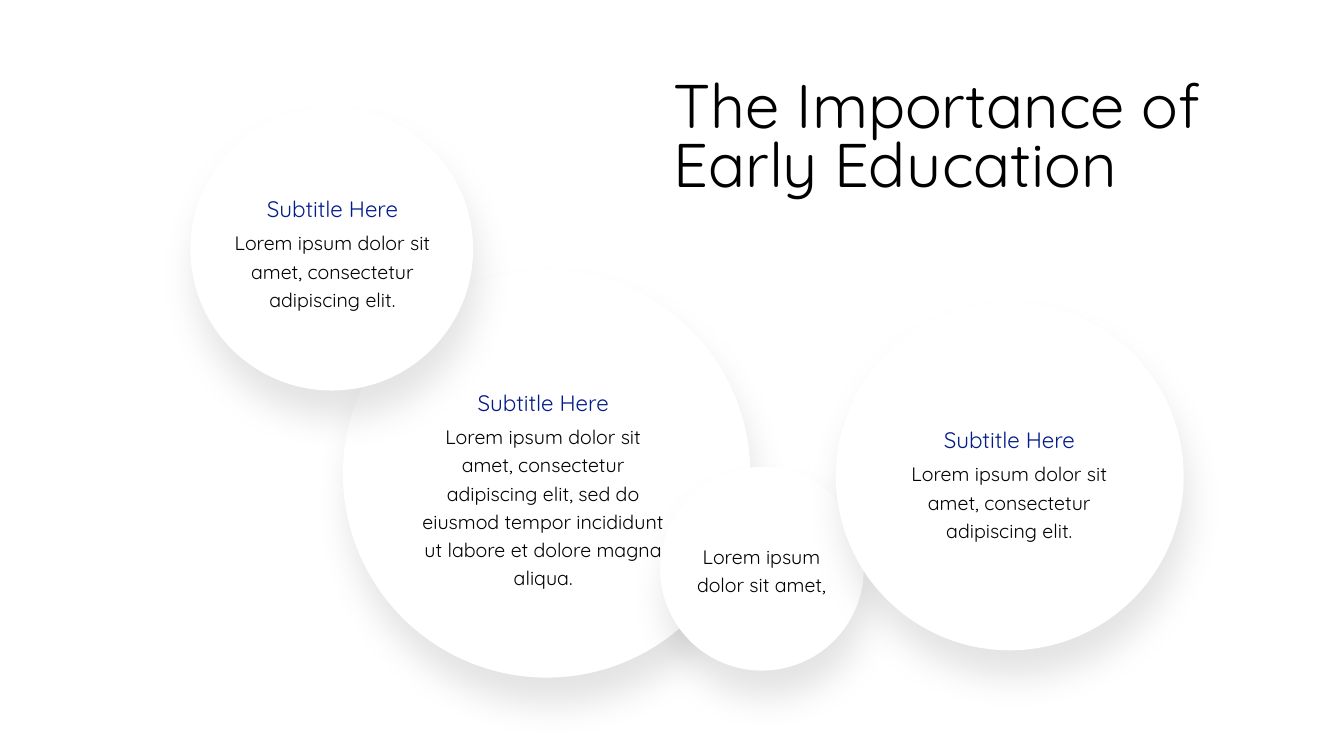
"""Builds a slide with four overlapping shadowed circles and their captions."""
from lxml import etree
from pptx import Presentation
from pptx.dml.color import RGBColor
from pptx.enum.shapes import MSO_SHAPE
from pptx.enum.text import MSO_ANCHOR, MSO_AUTO_SIZE, PP_ALIGN
from pptx.oxml.ns import nsdecls
from pptx.util import Pt

OVAL = MSO_SHAPE.OVAL
TOP, MIDDLE = MSO_ANCHOR.TOP, MSO_ANCHOR.MIDDLE
GROW = MSO_AUTO_SIZE.SHAPE_TO_FIT_TEXT
LEFT, CENTER = PP_ALIGN.LEFT, PP_ALIGN.CENTER
FONT = "Quicksand"
COLORS = {"white": "FFFFFF", "black": "000000", "blue": "031B89"}
SHADOW = (
    f'<a:effectLst {nsdecls("a")}>'
    f'<a:outerShdw blurRad="{Pt(26)}" dist="{Pt(19)}" dir="{80 * 60000}" algn="ctr" rotWithShape="0">'
    f'<a:srgbClr val="{COLORS["black"]}"><a:alpha val="11000"/></a:srgbClr>'
    '</a:outerShdw></a:effectLst>'
)


def add_text(s, text, x, y, w, h, size=14, color="black", align=CENTER, anchor=TOP, spacing=1.2):
    tf = s.shapes.add_textbox(Pt(x), Pt(y), Pt(w), Pt(h)).text_frame
    tf.word_wrap = True
    tf.auto_size = GROW
    tf.vertical_anchor = anchor
    tf.margin_left = tf.margin_right = 0
    tf.margin_top = tf.margin_bottom = Pt(3.6)
    p = tf.paragraphs[0]
    p.alignment = align
    p.line_spacing = spacing
    r = p.add_run()
    r.text = text
    r.font.name = FONT
    r.font.size = Pt(size)
    r.font.color.rgb = RGBColor.from_string(COLORS[color])


prs = Presentation()
prs.slide_width, prs.slide_height = Pt(960), Pt(540)
s = prs.slides.add_slide(prs.slide_layouts[6])
s.background.fill.solid()
s.background.fill.fore_color.rgb = RGBColor.from_string(COLORS["white"])

circles = [(245, 193, 291), (136, 77, 202), (471.5, 333.5, 145.5), (597, 216, 248.5)]
for x, y, size in circles:
    sp = s.shapes.add_shape(OVAL, Pt(x), Pt(y), Pt(size), Pt(size))
    sp.fill.solid()
    sp.fill.fore_color.rgb = RGBColor.from_string(COLORS["white"])
    sp.line.fill.background()
    sp._element.spPr.append(etree.fromstring(SHADOW))

add_text(s, "The Importance of Early Education", 481, 52.5, 430.5, 95,
         size=44, align=LEFT, anchor=MIDDLE, spacing=0.8)

short = "Lorem ipsum dolor sit amet, consectetur adipiscing elit."
long = ("Lorem ipsum dolor sit amet, consectetur adipiscing elit, sed do eiusmod "
        "tempor incididunt ut labore et dolore magna aliqua.")
captions = [(646, 297, 150, 68.5, short), (162.5, 132, 150, 68.5, short), (301.5, 270.5, 173, 113, long)]
for x, y, w, h, body in captions:
    add_text(s, body, x, y + 26.25, w, h)
    add_text(s, "Subtitle Here", x, y, w, 30, size=16, color="blue")
add_text(s, "Lorem ipsum dolor sit amet,", 492.5, 382.5, 103, 48)

prs.save("out.pptx")
